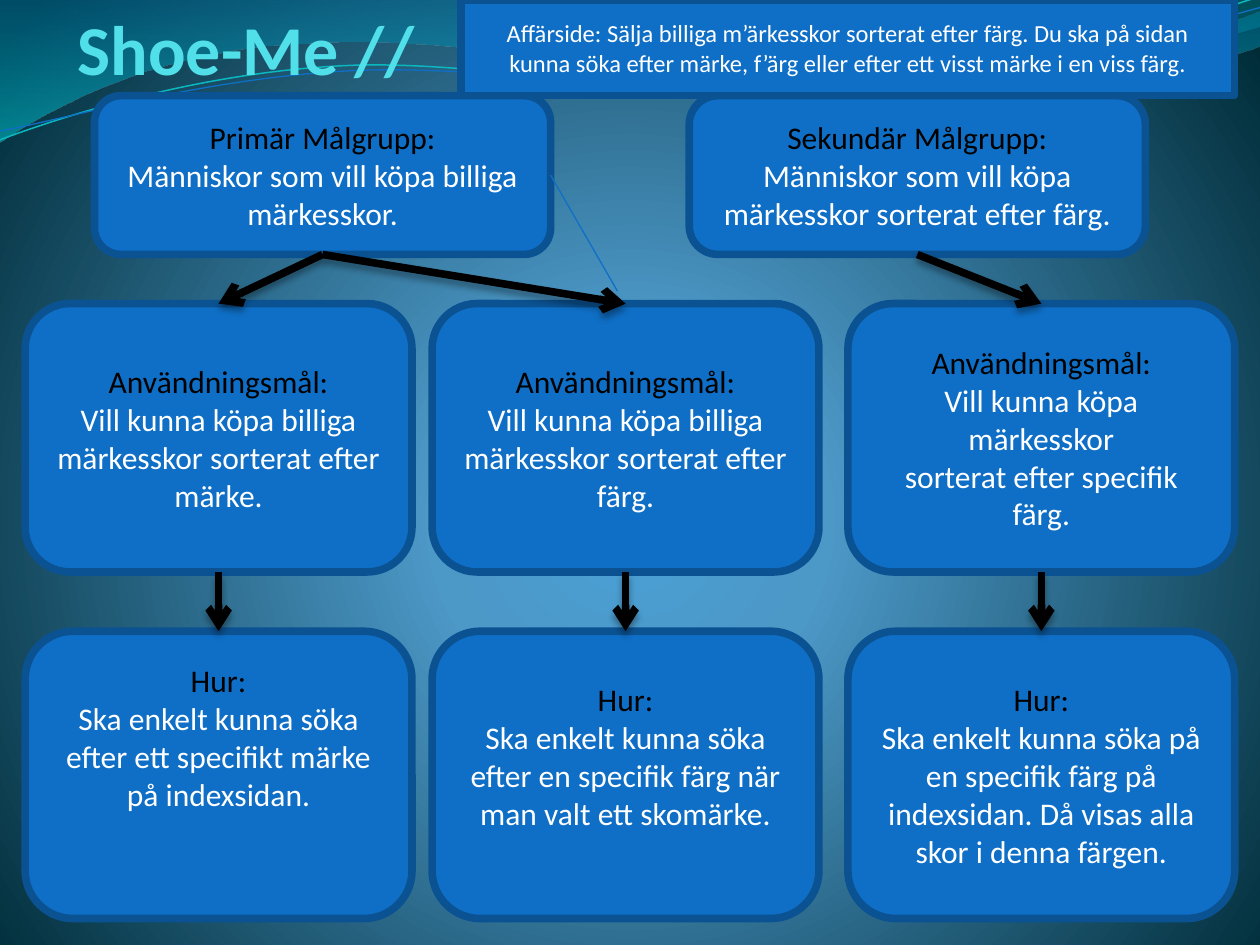
from dataclasses import dataclass

from pptx import Presentation
from pptx import util as u
from pptx.dml.color import RGBColor
from pptx.enum import shapes, text
from pptx.oxml import parse_xml
from pptx.oxml.ns import nsdecls

BLUE = RGBColor(0x0F, 0x6F, 0xC6)
EDGE = RGBColor(0x0B, 0x52, 0x92)
TEAL = RGBColor(0x0A, 0xB8, 0xBF)
AQUA = RGBColor(0x51, 0xE0, 0xEA)
BLACK = RGBColor(0, 0, 0)
WHITE = RGBColor(0xFF, 0xFF, 0xFF)
FONT = "Calibri"
HEAVY = 4.33
THIN = 0.75
TOP, LEFT, BOTTOM, RIGHT = range(4)

AUDIENCE_LEFTS = (0.75, 5.47)
COLUMN_LEFTS = (0.2, 3.43, 6.73)
AUDIENCE_ROW = (0.76, 3.62, 1.26)
GOAL_ROW = (2.41, 3.07, 2.13)
HOW_ROW = (5.01, 3.07, 2.28)
LINE_HEIGHT = 0.3


@dataclass
class Box:
    heading: str
    body: list[str]
    lift: int = 0


@dataclass
class Wave:
    start: tuple
    segments: list
    stops: tuple = ()
    color: RGBColor = TEAL
    width: float = THIN


AUDIENCES = [
    Box("Primär Målgrupp:", ["Människor som vill köpa billiga märkesskor."]),
    Box("Sekundär Målgrupp:", ["Människor som vill köpa märkesskor sorterat efter färg."]),
]
GOALS = [
    Box("Användningsmål:", ["Vill kunna köpa billiga märkesskor sorterat efter märke."]),
    Box("Användningsmål:", ["Vill kunna köpa billiga märkesskor sorterat efter färg."]),
    Box("Användningsmål:", ["Vill kunna köpa märkesskor", "sorterat efter specifik färg."]),
]
HOWS = [
    Box("Hur:", ["Ska enkelt kunna söka efter ett specifikt märke på indexsidan."], 2),
    Box("Hur:", ["Ska enkelt kunna söka efter en specifik färg när man valt ett skomärke."], 1),
    Box("Hur:", ["Ska enkelt kunna söka på en specifik färg på indexsidan. "
                 "Då visas alla skor i denna färgen."]),
]
WAVES = [
    Wave((0, 0),
         [(4.4, -0.01), (4.76, 0.17, 6.64, 0.63, 7.58, 0.63),
          (8.53, 0.63, 9.58, 0.26, 10, 0.09), (10.01, 0.36),
          (9.83, 0.44, 8.7, 0.76, 7.46, 0.75), (6.22, 0.75, 3.82, 0.28, 2.57, 0.34),
          (1.29, 0.36, 0.46, 0.83, -0.01, 1.13), (0, 0)],
         ((0, "0074A1", 45), (100, "00C6CF", 55))),
    Wave((4.79, -0.01),
         [(5.09, 0.11, 6.82, 0.62, 7.69, 0.65), (8.56, 0.69, 9.61, 0.32, 10, 0.21),
          (10, 0), (4.79, -0.01)],
         ((0, "00A1A9", 30), (80, "008BBF", 45))),
    Wave((0, 1.11),
         [(0.48, 0.93, 1.58, 0.57, 2.77, 0.52), (3.95, 0.47, 5.93, 0.89, 7.13, 0.8),
          (8.33, 0.71, 9.38, 0.15, 9.98, -0.02)], width=0.85),
    Wave((0, 1.04),
         [(0.47, 0.96, 1.64, 0.61, 2.83, 0.56), (4.03, 0.51, 5.97, 0.84, 7.17, 0.75),
          (8.36, 0.67, 9.41, 0.21, 10, 0.06)], color=BLUE),
]


def set_gradient(solid, stops, direction: str) -> None:
    stop_xml = "".join(
        f'<a:gs pos="{pos * 1000}"><a:srgbClr val="{color}">'
        f'<a:alpha val="{alpha * 1000}"/></a:srgbClr></a:gs>'
        for pos, color, alpha in stops)
    solid.getparent().replace(solid, parse_xml(
        f'<a:gradFill {nsdecls("a")} rotWithShape="1"><a:gsLst>{stop_xml}</a:gsLst>'
        f'{direction}</a:gradFill>'))


def bend(sp, segments: list) -> None:
    corners = iter(sp.element.xpath(".//a:path/a:lnTo"))
    for segment in segments:
        steps = [next(corners) for _ in range(len(segment) // 2)]
        if len(steps) == 3:
            curve = parse_xml(f'<a:cubicBezTo {nsdecls("a")}/>')
            steps[0].addprevious(curve)
            for step in steps:
                curve.append(step[0])
                step.getparent().remove(step)


def add_wave(s, wave: Wave) -> None:
    points = [(u.Inches(x), u.Inches(y)) for segment in wave.segments
              for x, y in zip(segment[::2], segment[1::2])]
    builder = s.shapes.build_freeform(*(u.Inches(v) for v in wave.start))
    builder.add_line_segments(points, close=bool(wave.stops))
    sp = builder.convert_to_shape()
    bend(sp, wave.segments)
    sp.shadow.inherit = False
    if wave.stops:
        sp.fill.solid()
        sp.line.fill.background()
        set_gradient(sp.element.xpath("./p:spPr/a:solidFill")[0], wave.stops,
                     '<a:lin ang="5400000" scaled="1"/>')
    else:
        sp.fill.background()
        sp.line.color.rgb = wave.color
        sp.line.width = u.Pt(wave.width)


def add_run(p, words: str, size: float, color: RGBColor, bold: bool = False) -> None:
    p.alignment = text.PP_ALIGN.CENTER
    r = p.add_run()
    r.text = words
    r.font.name, r.font.size, r.font.bold = FONT, u.Pt(size), bold
    r.font.color.rgb = color


def add_panel(s, kind, left: float, top: float, width: float, height: float):
    sp = s.shapes.add_shape(kind, *(u.Inches(v) for v in (left, top, width, height)))
    sp.shadow.inherit = False
    sp.fill.solid()
    sp.fill.fore_color.rgb = BLUE
    sp.line.color.rgb = EDGE
    sp.line.width = u.Pt(HEAVY)
    sp.text_frame.word_wrap = True
    sp.text_frame.vertical_anchor = text.MSO_ANCHOR.MIDDLE
    return sp


def add_row(s, boxes: list[Box], lefts: tuple, row: tuple) -> list:
    panels = []
    for box, left in zip(boxes, lefts):
        sp = add_panel(s, shapes.MSO_SHAPE.ROUNDED_RECTANGLE, left, *row)
        tf = sp.text_frame
        tf.margin_bottom = u.Inches(0.05 + box.lift * LINE_HEIGHT)
        add_run(tf.paragraphs[0], box.heading, 18, BLACK)
        for words in box.body:
            add_run(tf.add_paragraph(), words, 18, WHITE)
        panels.append(sp)
    return panels


def add_line(s, color: RGBColor, width: float, effects: str = "", ends: tuple = (0, 0, 0, 0)):
    line = s.shapes.add_connector(shapes.MSO_CONNECTOR.STRAIGHT, *(u.Inches(v) for v in ends))
    line.line.color.rgb = color
    line.line.width = u.Pt(width)
    line.element.spPr.append(
        parse_xml(f'<a:effectLst {nsdecls("a")}>{effects}</a:effectLst>'))
    return line


def add_arrow(s, source, target) -> None:
    line = add_line(s, BLACK, HEAVY,
                    '<a:outerShdw blurRad="50800" dist="38100" dir="5400000" rotWithShape="0">'
                    '<a:srgbClr val="000000"><a:alpha val="35000"/></a:srgbClr></a:outerShdw>')
    line.begin_connect(source, BOTTOM)
    line.end_connect(target, TOP)
    line.element.xpath("./p:spPr/a:ln")[0].append(
        parse_xml(f'<a:tailEnd {nsdecls("a")} type="arrow"/>'))


prs = Presentation()
prs.slide_width, prs.slide_height = u.Inches(10), u.Inches(7.5)
s = prs.slides.add_slide(prs.slide_layouts[0])
subtitle = s.placeholders[1].element
subtitle.getparent().remove(subtitle)
s.background.fill.solid()
set_gradient(s.element.xpath("./p:cSld/p:bg//a:solidFill")[0],
             ((0, "4AA0D6", 100), (25, "4C98C7", 100), (100, "002C38", 100)),
             '<a:path path="circle"><a:fillToRect l="10000" t="110000" r="10000" b="100000"/>'
             '</a:path>')

for wave in WAVES:
    add_wave(s, wave)

title = s.shapes.title
s.shapes.element.append(title.element)
title.left, title.top, title.width, title.height = (u.Inches(v) for v in (0.35, 0, 3.23, 0.71))
tf = title.text_frame
tf.word_wrap = True
tf.auto_size = text.MSO_AUTO_SIZE.NONE
tf.vertical_anchor = text.MSO_ANCHOR.BOTTOM
tf.margin_left = tf.margin_top = tf.margin_bottom = 0
tf.margin_right = u.Inches(0.02)
add_run(tf.paragraphs[0], "Shoe-Me //", 40, AQUA, True)

audiences = add_row(s, AUDIENCES, AUDIENCE_LEFTS, AUDIENCE_ROW)
audiences[1].adjustments[0] = 0.18
goals = add_row(s, GOALS, COLUMN_LEFTS, GOAL_ROW)
hows = add_row(s, HOWS, COLUMN_LEFTS, HOW_ROW)

add_line(s, BLUE, THIN, ends=(4.37, 1.39, 4.9, 2.31))
for source, target in zip((audiences[0], audiences[0], audiences[1]), goals):
    add_arrow(s, source, target)
for source, target in zip(goals, hows):
    add_arrow(s, source, target)

idea = add_panel(s, shapes.MSO_SHAPE.RECTANGLE, 3.66, 0, 6.14, 0.76)
add_run(idea.text_frame.paragraphs[0],
        "Affärside: Sälja billiga m’ärkesskor sorterat efter färg. Du ska på sidan kunna söka "
        "efter märke, f’ärg eller efter ett visst märke i en viss färg.", 14, WHITE)
prs.save("out.pptx")
